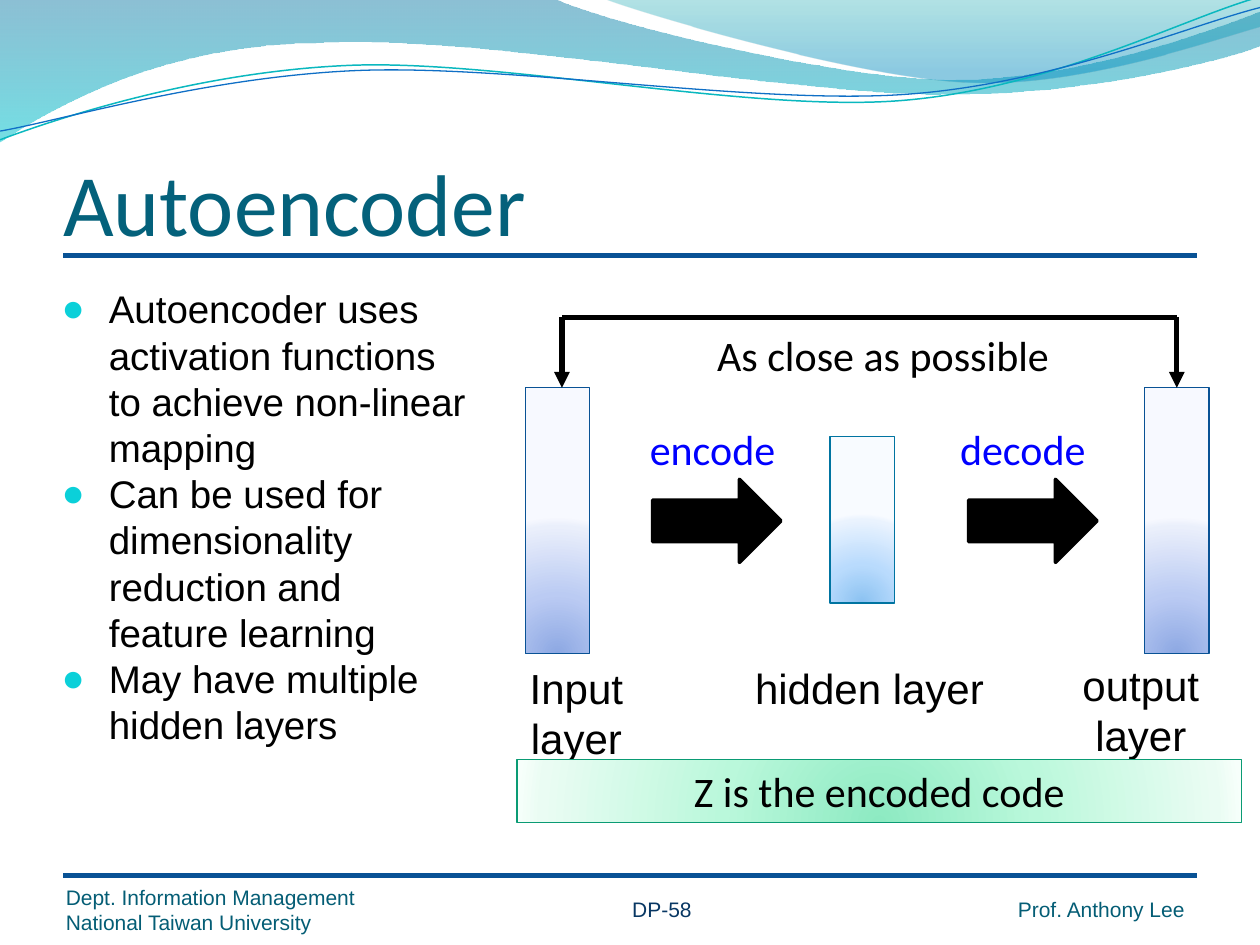
from lxml.etree import SubElement
from pptx import Presentation
from pptx.dml.color import RGBColor
from pptx.enum.shapes import MSO_CONNECTOR as Connector, MSO_SHAPE as Shape
from pptx.enum.text import MSO_ANCHOR as Anchor, MSO_AUTO_SIZE as AutoSize, PP_ALIGN as Align
from pptx.oxml.ns import qn
from pptx.util import Pt

COLORS = {
    "black": "000000", "blue": "0000FF", "title": "04617B", "footer": "045D75",
    "number": "083763", "rule": "095295", "bullet": "0BD0D9", "hidden": "0074A1",
    "code": "0A9B74", "teal wave": "0AB8BF", "blue wave": "0F6FC6",
}
GRADIENTS = {
    "layer": [(0, "8DA8E3"), (43, "BBCBF3"), (93, "EAEFFB"), (100, "F7F9FF")],
    "hidden": [(0, "8BC2F1"), (43, "B9DBFD"), (93, "EAF3FE"), (100, "F8FBFF")],
    "code": [(0, "8DEAC2"), (43, "BAF8DB"), (93, "EAFCF3"), (100, "F7FFFB")],
    "left wave": [(0, "0074A1", 45), (100, "00C6CF", 55)],
    "right wave": [(0, "00A1A9", 30), (80, "008BBF", 45)],
}
FILLED_WAVES = [
    ("left wave", [(0, -0.7), (316.8, -0.7), (342.7, 12.2, 478.1, 45.4, 545.8, 45.4),
                   (614.2, 45.4, 689.8, 18.7, 720, 6.5), (720.7, 25.9),
                   (707.8, 31.7, 626.4, 54.7, 537.1, 54), (447.8, 54, 275, 20.2, 185, 24.5),
                   (92.9, 25.2, 33.1, 59.8, -0.7, 81.4)]),
    ("right wave", [(344.9, -0.7), (366.5, 7.9, 491, 44.6, 553.7, 46.8),
                    (616.3, 49.7, 691.9, 23, 720, 15.1), (720, 0)]),
]
LINE_WAVES = [
    ("teal wave", 0.85, [(0, 79.9), (34.6, 67, 113.8, 41, 199.4, 37.4),
                         (284.4, 33.8, 427, 64.1, 513.4, 57.6),
                         (599.8, 51.1, 675.4, 10.8, 718.6, -1.4)]),
    ("blue wave", 0.75, [(0, 74.9), (33.8, 69.1, 118.1, 43.9, 203.8, 40.3),
                         (290.2, 36.7, 429.8, 59.8, 516.2, 54),
                         (601.9, 48.2, 677.5, 15.1, 720, 4.3)]),
]
TITLE = "Autoencoder"
POINTS = [
    "Autoencoder uses activation functions to achieve non-linear mapping",
    "Can be used for dimensionality reduction and feature learning",
    "May have multiple hidden layers",
]
FOOTERS = [
    ("Dept. Information Management\nNational Taiwan University", (37.6, 505.4, 180.7, 28.8)),
    ("Prof. Anthony Lee", (581.6, 498.2, 102.2, 28.8)),
]
LAYERS = [
    ("Input layer", (269.3, 374.8, 120.2, 36), 18),
    ("hidden layer", (423.4, 375.1, 146.9, 36), 0),
    ("output layer", (584.2, 373.3, 135.4, 36), 18),
]
BARS = [
    ("layer", "rule", (300.2, 221.6, 36.7, 151.9)),
    ("hidden", "hidden", (474.3, 249.3, 36.7, 95.3)),
    ("layer", "rule", (654.15, 221.6, 36.7, 151.9)),
]
STEPS = [("encode", 348.5, 372.9), ("decode", 525.8, 553.5)]
LOOP_LEFT, LOOP_RIGHT, LOOP_TOP, LOOP_BOTTOM = 321.1, 672.5, 181.4, 221.6


def color(name):
    return RGBColor.from_string(COLORS[name])


def write(holder, text, size=24, font="Calibri", ink="black", align=Align.CENTER,
          anchor=Anchor.TOP, insets=(7.2, 3.6, 7.2, 3.6), bullet=None):
    frame = holder.text_frame
    frame.auto_size = AutoSize.NONE
    frame.word_wrap = True
    frame.vertical_anchor = anchor
    (frame.margin_left, frame.margin_top,
     frame.margin_right, frame.margin_bottom) = map(Pt, insets)
    frame.text = text
    for paragraph in frame.paragraphs:
        if bullet:
            props = paragraph._p.get_or_add_pPr()
            props.set("marL", str(Pt(27)))
            props.set("indent", str(-Pt(27)))
            tint = SubElement(props, qn("a:buClr"))
            SubElement(tint, qn("a:srgbClr"), val=COLORS["bullet"])
            SubElement(props, qn("a:buFont"), typeface=font)
            SubElement(props, qn("a:buChar"), char=bullet)
        paragraph.alignment = align
        paragraph.space_before = Pt(0)
        for run in paragraph.runs:
            run.font.size, run.font.name = Pt(size), font
            run.font.color.rgb = color(ink)


def place(holder, box):
    holder.left, holder.top, holder.width, holder.height = map(Pt, box)
    return holder


def label(shapes, text, box, **style):
    write(shapes.add_textbox(*map(Pt, box)), text, **style)


def shade(shape, name, radial=True):
    shape.fill.gradient()
    gradient = shape._element.spPr.find(qn("a:gradFill"))
    for child in list(gradient):
        gradient.remove(child)
    stops = SubElement(gradient, qn("a:gsLst"))
    for position, tint, *alpha in GRADIENTS[name]:
        stop = SubElement(stops, qn("a:gs"), pos=str(position * 1000))
        ink = SubElement(stop, qn("a:srgbClr"), val=tint)
        for percent in alpha:
            SubElement(ink, qn("a:alpha"), val=str(percent * 1000))
    if radial:
        focus = SubElement(gradient, qn("a:path"), path="circle")
        SubElement(focus, qn("a:fillToRect"), l="50000", t="130000", r="50000", b="-30000")
    else:
        SubElement(gradient, qn("a:lin"), ang="5400000", scaled="0")


def outline(shape, ink, width):
    shape.line.color.rgb = color(ink)
    shape.line.width = Pt(width)


def block(shapes, kind, box, ink, width, gradient=None):
    shape = shapes.add_shape(kind, *map(Pt, box))
    shape.shadow.inherit = False
    outline(shape, ink, width)
    if gradient:
        shade(shape, gradient)
    else:
        shape.fill.solid()
        shape.fill.fore_color.rgb = color(ink)
    return shape


def wave(shapes, segments, closed):
    start, *rest = [(Pt(x), Pt(y)) for segment in segments
                    for x, y in zip(segment[::2], segment[1::2])]
    builder = shapes.build_freeform(*start)
    builder.add_line_segments(rest, close=closed)
    shape = builder.convert_to_shape()
    shape.shadow.inherit = False
    strokes = iter(list(shape._element.iter(qn("a:lnTo"))))
    for segment in segments[1:]:
        stroke = next(strokes)
        if len(segment) == 6:
            curve = stroke.getparent().makeelement(qn("a:cubicBezTo"))
            stroke.addprevious(curve)
            for control in (stroke, next(strokes), next(strokes)):
                curve.append(control[0])
                control.getparent().remove(control)
    return shape


def connect(shapes, start, end, ink, arrow=False):
    line = shapes.add_connector(Connector.STRAIGHT, *map(Pt, (*start, *end)))
    outline(line, ink, 3)
    SubElement(line._element.spPr, qn("a:effectLst"))
    if arrow:
        SubElement(line.line._get_or_add_ln(), qn("a:tailEnd"), type="triangle")
    return line


def main():
    """Build the autoencoder slide."""
    deck = Presentation()
    deck.slide_width, deck.slide_height = Pt(720), Pt(540)
    slide = deck.slides.add_slide(deck.slide_layouts[1])
    shapes = slide.shapes

    for name, segments in FILLED_WAVES:
        band = wave(shapes, segments, True)
        shade(band, name, radial=False)
        band.line.fill.background()
    for ink, width, segments in LINE_WAVES:
        curve = wave(shapes, segments, False)
        curve.fill.background()
        outline(curve, ink, width)

    for y in (146.2, 500.4):
        connect(shapes, (36, y), (684, y), "rule")
    for text, box in FOOTERS:
        label(shapes, text, box, size=12, font="Arial", ink="footer", align=Align.LEFT,
              anchor=Anchor.BOTTOM, insets=(0, 0, 0, 0))
    label(shapes, "DP-58", (354.2, 509, 62.6, 21.6), size=12, font="Arial",
          ink="number", align=Align.LEFT)

    write(place(shapes.title, (36, 55.4, 648, 90)), TITLE, size=50, ink="title",
          align=Align.LEFT, anchor=Anchor.BOTTOM, insets=(0, 3.6, 0, 0))
    write(place(slide.placeholders[1], (28, 159.5, 245.5, 273.6)), "\n".join(POINTS),
          size=22, font="Arial", align=Align.LEFT, bullet="●")

    bars = [block(shapes, Shape.RECTANGLE, box, ink, 0.75, gradient)
            for gradient, ink, box in BARS]
    for text, box, inset in LAYERS:
        label(shapes, text, box, font="Arial", insets=(inset, 3.6, inset, 3.6))
    for text, text_left, arrow_left in STEPS:
        block(shapes, Shape.RIGHT_ARROW, (arrow_left, 273.9, 73.4, 47.5), "black", 2)
        label(shapes, text, (text_left, 238.3, 117.4, 36), ink="blue")

    connect(shapes, (LOOP_RIGHT, LOOP_TOP), (LOOP_LEFT, LOOP_TOP), "black")
    for x in (LOOP_LEFT, LOOP_RIGHT):
        drop = connect(shapes, (x, LOOP_TOP), (x, LOOP_BOTTOM), "black", arrow=True)
    drop.end_connect(bars[-1], 0)
    label(shapes, "As close as possible", (388.3, 185, 232.6, 36))

    code = block(shapes, Shape.RECTANGLE, (295.4, 433.9, 414, 36.3), "code", 0.75, "code")
    write(code, "Z is the encoded code")
    deck.save("out.pptx")


if __name__ == "__main__":
    main()
